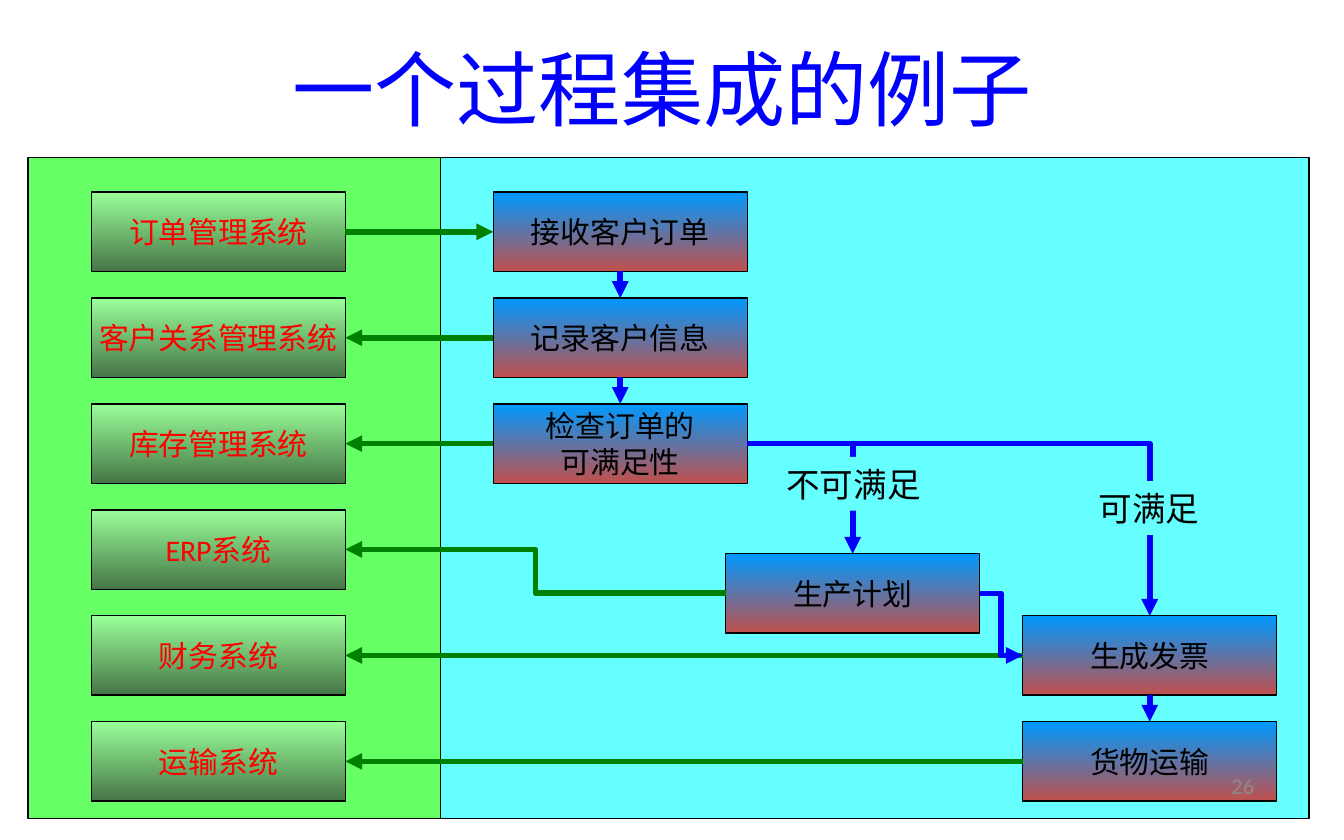
import pptx
import pptx.dml.color
import pptx.enum.dml
import pptx.enum.shapes
import pptx.enum.text
import pptx.oxml
import pptx.oxml.ns
import pptx.util
from pptx.util import Inches

COLORS = {
    "system_area": "66FF66", "process_area": "66FFFF",
    "system_top": "99FF99", "system_bottom": "467546", "system_text": "FF0000",
    "process_top": "0099FF", "process_bottom": "C0504D",
    "flow": "0000FF", "data": "008000", "text": "000000", "number": "8C8C8C",
}
BOX_W, BOX_H = 1.89, 0.59
FIRST_TOP, LAST_TOP = 1.43, 5.37
SYSTEM_X, ENTRY_X, PLAN_X, DELIVERY_X = 0.68, 3.67, 5.4, 7.61
TOP, LEFT, BOTTOM, RIGHT = range(4)

SYSTEMS = ["订单管理系统", "客户关系管理系统", "库存管理系统", "ERP系统", "财务系统", "运输系统"]
ROW_TOPS = [FIRST_TOP + row * (LAST_TOP - FIRST_TOP) / (len(SYSTEMS) - 1)
            for row in range(len(SYSTEMS))]


def rgb(name):
    return pptx.dml.color.RGBColor.from_string(COLORS[name])


def write(frame, text, size=16, color="text", font="Calibri", align="CENTER",
          anchor="MIDDLE", wrap=True):
    frame.text = text
    frame.word_wrap = wrap
    frame.vertical_anchor = getattr(pptx.enum.text.MSO_ANCHOR, anchor)
    for paragraph in frame.paragraphs:
        paragraph.alignment = getattr(pptx.enum.text.PP_ALIGN, align)
        for run in paragraph.runs:
            run.font.size = pptx.util.Pt(size)
            run.font.name = font
            run.font.color.rgb = rgb(color)
            east_asian = pptx.oxml.parse_xml(
                f'<a:ea {pptx.oxml.ns.nsdecls("a")} typeface="Noto Sans CJK SC"/>')
            run.font._element.append(east_asian)


class ProcessSlide:
    def __init__(self, presentation):
        self.slide = presentation.slides.add_slide(presentation.slide_layouts[5])
        self.border = pptx.util.Pt(0.75)
        self.arrow_width = pptx.util.Pt(3)

    def title(self, text):
        title = self.slide.shapes.title
        title.left, title.top = Inches(0.43), Inches(0.13)
        title.width, title.height = Inches(9), Inches(1.04)
        write(title.text_frame, text, size=44, color="flow", font="Noto Sans CJK SC")

    def rectangle(self, x, y, width, height, bordered=True):
        rectangle = self.slide.shapes.add_shape(
            pptx.enum.shapes.MSO_SHAPE.RECTANGLE,
            Inches(x), Inches(y), Inches(width), Inches(height))
        rectangle.shadow.inherit = False
        if bordered:
            rectangle.line.color.rgb = rgb("text")
            rectangle.line.width = self.border
        else:
            rectangle.line.fill.background()
        return rectangle

    def area(self, x, width, color):
        area = self.rectangle(x, 1.17, width, 4.92)
        area.fill.solid()
        area.fill.fore_color.rgb = rgb(color)

    def box(self, text, x, y, kind="process", color="text"):
        box = self.rectangle(x, y, BOX_W, BOX_H)
        box.fill.gradient()
        box.fill.gradient_angle = 270
        for stop, end in zip(box.fill.gradient_stops, ("top", "bottom")):
            stop.color.rgb = rgb(f"{kind}_{end}")
        write(box.text_frame, text, color=color, wrap=False)
        return box

    def label(self, text, x, y, width, font="Calibri"):
        label = self.rectangle(x, y, width, 0.4, bordered=False)
        label.fill.solid()
        label.fill.fore_color.rgb = rgb("process_area")
        write(label.text_frame, text, size=18, font=font, anchor="TOP")
        label.text_frame.auto_size = pptx.enum.text.MSO_AUTO_SIZE.SHAPE_TO_FIT_TEXT

    def arrow(self, start, start_side, end, end_side, color="flow", preset="line"):
        """Join the middles of two box sides, with the arrowhead at the end."""
        kinds = pptx.enum.shapes.MSO_CONNECTOR
        kind = kinds.STRAIGHT if preset == "line" else kinds.ELBOW
        arrow = self.slide.shapes.add_connector(kind, 0, 0, 0, 0)
        arrow.begin_connect(start, start_side)
        arrow.end_connect(end, end_side)
        arrow.line.color.rgb = rgb(color)
        arrow.line.width = self.arrow_width
        properties = arrow._element.spPr
        properties.find(pptx.oxml.ns.qn("a:prstGeom")).set("prst", preset)
        namespace = pptx.oxml.ns.nsdecls("a")
        arrow.line._get_or_add_ln().append(
            pptx.oxml.parse_xml(f'<a:tailEnd {namespace} type="triangle"/>'))
        properties.append(pptx.oxml.parse_xml(f"<a:effectLst {namespace}/>"))

    def page_number(self, text):
        number = self.slide.shapes.add_textbox(
            Inches(7.1), Inches(5.68), Inches(2.33), Inches(0.33))
        write(number.text_frame, text, size=12, color="number", align="RIGHT")


def main():
    presentation = pptx.Presentation()
    presentation.slide_width, presentation.slide_height = Inches(10), Inches(6.25)
    page = ProcessSlide(presentation)
    page.title("一个过程集成的例子")
    page.area(0.21, 3.07, "system_area")
    page.area(3.28, 6.46, "process_area")

    orders, customers, stock, erp, finance, transport = [
        page.box(name, SYSTEM_X, top, kind="system", color="system_text")
        for name, top in zip(SYSTEMS, ROW_TOPS)]
    receive, record, check = [
        page.box(step, ENTRY_X, top)
        for step, top in zip(["接收客户订单", "记录客户信息", "检查订单的\n可满足性"], ROW_TOPS)]
    plan = page.box("生产计划", PLAN_X, 4.12)
    invoice, shipping = [
        page.box(step, DELIVERY_X, top)
        for step, top in zip(["生成发票", "货物运输"], ROW_TOPS[-2:])]

    for branch in (plan, invoice):
        page.arrow(check, RIGHT, branch, TOP, preset="bentConnector2")
    page.label("不可满足", 5.64, 3.4, 1.42)
    page.label("可满足", 7.92, 3.58, 1.26, font="Lato")
    for step, following in ((receive, record), (record, check), (invoice, shipping)):
        page.arrow(step, BOTTOM, following, TOP)

    page.arrow(orders, RIGHT, receive, LEFT, color="data")
    for step, system in ((record, customers), (check, stock),
                         (invoice, finance), (shipping, transport)):
        page.arrow(step, LEFT, system, RIGHT, color="data")
    page.arrow(plan, LEFT, erp, RIGHT, color="data", preset="bentConnector3")
    page.arrow(plan, RIGHT, invoice, LEFT, preset="bentConnector3")

    page.page_number("26")
    presentation.save("out.pptx")


if __name__ == "__main__":
    main()
